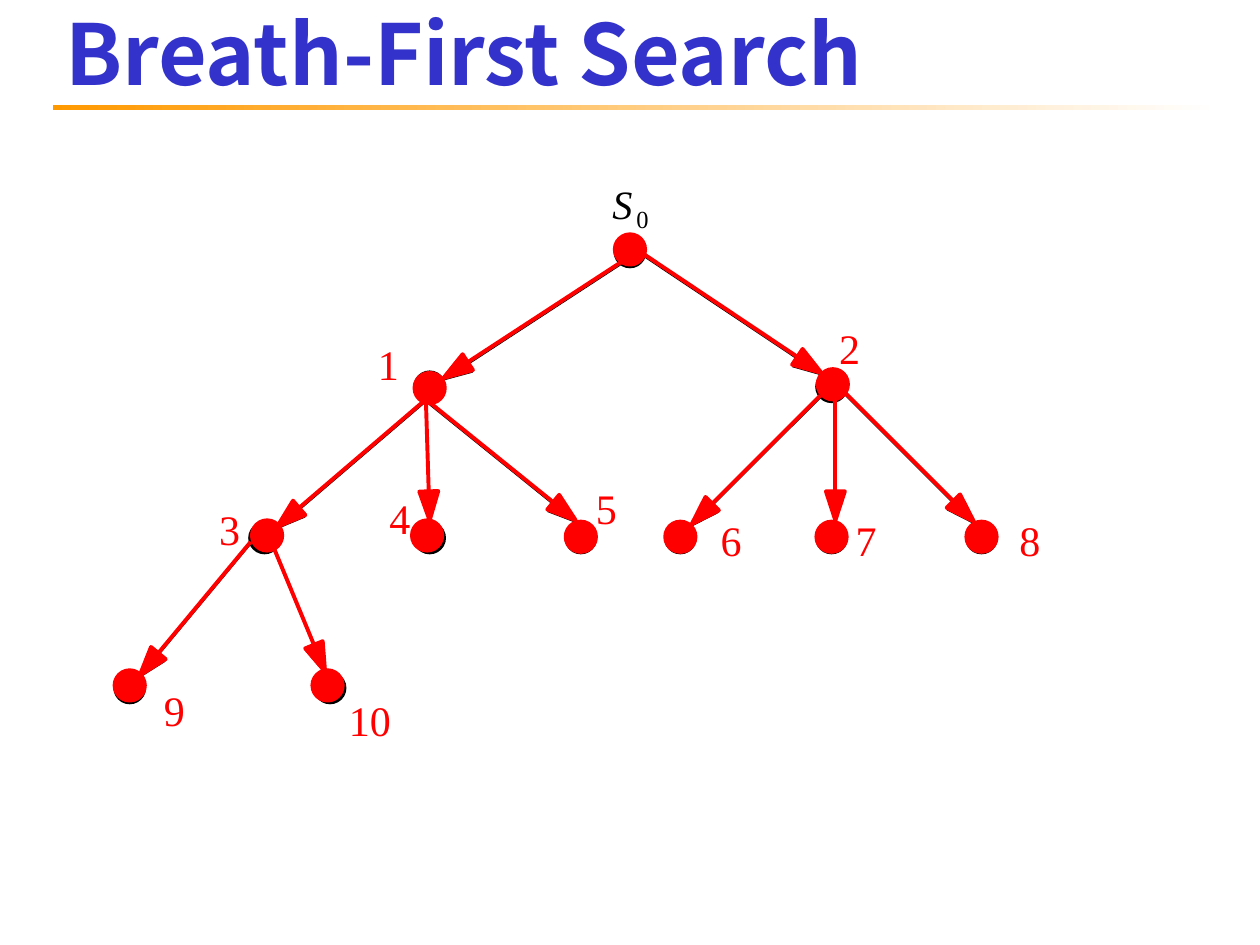
"""Build the breadth-first search tree slide."""
from math import hypot
from lxml.etree import SubElement
from pptx import Presentation
from pptx.dml.color import RGBColor
from pptx.enum.shapes import MSO_CONNECTOR, MSO_SHAPE
from pptx.enum.text import MSO_ANCHOR, MSO_AUTO_SIZE, PP_ALIGN
from pptx.oxml.ns import qn
from pptx.util import Inches, Pt

BLACK = RGBColor(0x00, 0x00, 0x00)
RED = RGBColor(0xFF, 0x00, 0x00)
BLUE = RGBColor(0x33, 0x33, 0xCC)
GOLD = RGBColor(0xFF, 0x99, 0x00)
WHITE = RGBColor(0xFF, 0xFF, 0xFF)

TITLE = "Breath-First Search"
UNDER = [(7.67, 4.15), (4.49, 4.15), (3.29, 2.95), (6.48, 2.95), (1.98, 4.15),
         (4.88, 1.88), (5.28, 4.15), (0.91, 5.34), (3.29, 4.15), (2.5, 5.34),
         (6.48, 4.15)]
NODES = [(7.67, 4.14), (4.49, 4.14), (3.29, 2.96), (6.49, 2.93), (2, 4.13),
         (4.88, 1.86), (5.28, 4.14), (0.91, 5.32), (3.27, 4.13), (2.48, 5.32),
         (6.48, 4.14)]
EDGES = [((4.93, 2.08), (3.52, 3)), ((3.38, 3.17), (2.2, 4.18)),
         ((3.38, 3.17), (3.41, 4.13)), ((3.38, 3.17), (4.57, 4.13)),
         ((6.51, 3.14), (5.49, 4.16)), ((6.63, 3.17), (6.63, 4.13)),
         ((6.7, 3.11), (7.73, 4.14)), ((1.99, 4.3), (1.11, 5.36)),
         ((4.92, 1.89), (6.52, 2.96)), ((2.17, 4.34), (2.58, 5.33))]
ROOT = [("0", 5.05, 1.62, 0.1, 0.23, {"size": Pt(14)}),
        ("S", 4.86, 1.42, 0.16, 0.38, {"size": Pt(23), "italic": True})]
MARKS = [("1", 3, 2.69), ("2", 6.66, 2.56), ("3", 1.74, 4), ("4", 3.09, 3.91),
         ("5", 4.73, 3.83), ("6", 5.72, 4.08), ("7", 6.79, 4.08),
         ("8", 8.09, 4.08), ("9", 1.3, 5.43), ("10", 2.77, 5.51)]
DOT, HEAD, HALF, STOP, DROP = 0.24, 0.23, 0.075, 0.2, 0.02
FRAME = {"margin_left": 0, "margin_right": 0, "margin_top": 0,
         "margin_bottom": 0, "word_wrap": False,
         "auto_size": MSO_AUTO_SIZE.SHAPE_TO_FIT_TEXT}


def apply(obj, form):
    for key, val in form.items():
        setattr(obj, key, val)


def paint(shape, color, width):
    shape.shadow.inherit = False
    shape.fill.solid()
    shape.fill.fore_color.rgb = color
    if width:
        shape.line.color.rgb = color
        shape.line.width = Pt(width)
    else:
        shape.line.fill.background()


def add_dots(shapes, spots, color, width):
    for x, y in spots:
        dot = shapes.add_shape(MSO_SHAPE.OVAL, *map(Inches, (x, y, DOT, DOT)))
        paint(dot, color, width)


def add_edges(shapes, color, width, edge, drop=0):
    for (ax, ay), (bx, by) in EDGES:
        ay, by = ay + drop, by + drop
        span = hypot(bx - ax, by - ay)
        ux, uy = (bx - ax) / span, (by - ay) / span
        ends = ax, ay, bx - STOP * ux, by - STOP * uy
        line = shapes.add_connector(MSO_CONNECTOR.STRAIGHT, *map(Inches, ends))
        line.line.color.rgb = color
        line.line.width = Pt(width)
        SubElement(line._element.spPr, qn("a:effectLst"))
        base = [(Inches(bx - HEAD * ux + side * uy),
                 Inches(by - HEAD * uy - side * ux)) for side in (HALF, -HALF)]
        form = shapes.build_freeform(Inches(bx), Inches(by))
        form.add_line_segments(base, close=True)
        paint(form.convert_to_shape(), color, edge)


def add_mark(shapes, text, x, y, w, h, color, font):
    box = shapes.add_textbox(*map(Inches, (x, y, w, h)))
    apply(box.text_frame, FRAME)
    run = box.text_frame.paragraphs[0].add_run()
    run.text = text
    apply(run.font, {"name": "Times New Roman", **font})
    run.font.color.rgb = color


def add_title(slide):
    rule = slide.shapes.add_shape(
        MSO_SHAPE.RECTANGLE, *map(Inches, (0.42, 0.83, 9.25, 0.04)))
    rule.shadow.inherit = False
    rule.line.fill.background()
    rule.fill.gradient()
    rule.fill.gradient_angle = 0
    for stop, color in zip(rule.fill.gradient_stops, (GOLD, WHITE)):
        stop.color.rgb = color
    title = slide.shapes.title
    apply(title, {"left": Inches(0.42), "top": 0,
                  "width": Inches(9.58), "height": Inches(0.83)})
    title.text = TITLE
    apply(title.text_frame, {"vertical_anchor": MSO_ANCHOR.MIDDLE,
                             "auto_size": MSO_AUTO_SIZE.NONE})
    para = title.text_frame.paragraphs[0]
    para.alignment = PP_ALIGN.LEFT
    font = para.runs[0].font
    apply(font, {"name": "Noto Sans CJK SC", "size": Pt(48), "bold": True})
    font.color.rgb = BLUE


def main():
    deck = Presentation()
    deck.slide_width, deck.slide_height = Inches(10), Inches(7.5)
    slide = deck.slides.add_slide(deck.slide_layouts[5])
    shapes = slide.shapes
    add_title(slide)
    add_dots(shapes, UNDER, BLACK, 1.38)
    add_edges(shapes, BLACK, 0.5, 0, DROP)
    for text, x, y, w, h, font in ROOT:
        add_mark(shapes, text, x, y, w, h, BLACK, font)
    for text, x, y in MARKS:
        add_mark(shapes, text, x, y, 0.17 * len(text), 0.4, RED, {"size": Pt(24)})
    add_dots(shapes, NODES, RED, 2.25)
    add_edges(shapes, RED, 2.25, 2.25)
    deck.save("out.pptx")


if __name__ == "__main__":
    main()
